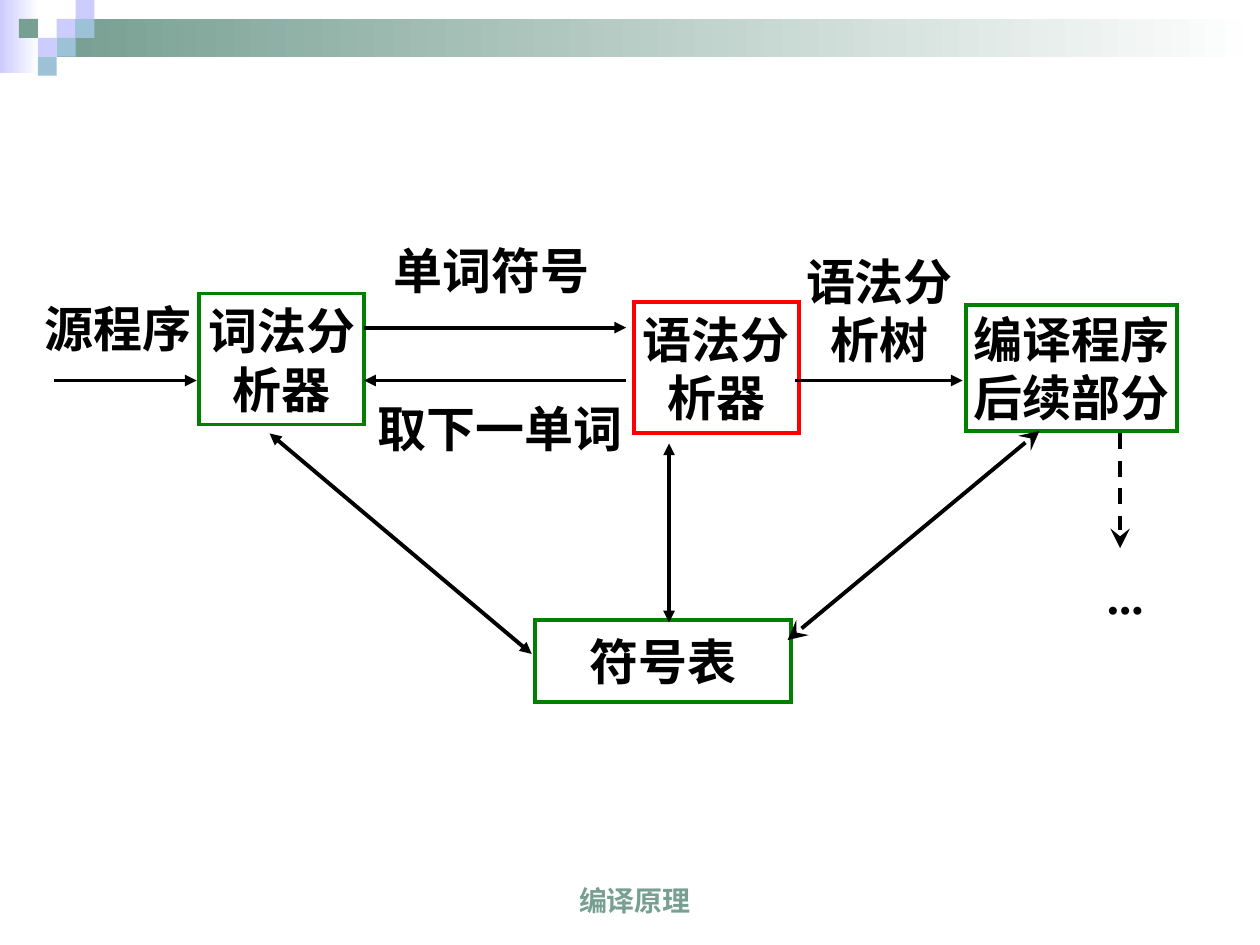
from lxml.etree import SubElement
from pptx import Presentation
from pptx.dml.color import RGBColor
from pptx.enum.dml import MSO_LINE
from pptx.enum.shapes import MSO_CONNECTOR, MSO_SHAPE
from pptx.enum.text import MSO_ANCHOR, PP_ALIGN
from pptx.oxml.ns import qn
from pptx.util import Inches, Pt

BLACK = RGBColor(0x00, 0x00, 0x00)
WHITE = RGBColor(0xFF, 0xFF, 0xFF)
GREEN = RGBColor(0x00, 0x80, 0x00)
RED = RGBColor(0xFF, 0x00, 0x00)
SAGE = RGBColor(0x77, 0x9F, 0x92)
LILAC = RGBColor(0xCC, 0xCC, 0xFF)
SKY = RGBColor(0x9D, 0xC2, 0xD7)

TILE = 0.15     # side of one square in the corner mosaic
LINE = Pt(2.25)

prs = Presentation()
prs.slide_width, prs.slide_height = Inches(10), Inches(7.5)
slide = prs.slides.add_slide(prs.slide_layouts[6])
shapes = slide.shapes


def write(shape, text, *, size=28, font="Times New Roman", color=BLACK,
          anchor=MSO_ANCHOR.MIDDLE, wrap=False):
    frame = shape.text_frame
    frame.text = text
    frame.word_wrap = wrap
    frame.vertical_anchor = anchor
    for paragraph in frame.paragraphs:
        paragraph.alignment = PP_ALIGN.CENTER
        paragraph.font.size = Pt(size)
        paragraph.font.name = font
        paragraph.font.bold = True
        paragraph.font.color.rgb = color


def arrow(start, end, head=None, tail="triangle", size="med", dash=None):
    connector = shapes.add_connector(
        MSO_CONNECTOR.STRAIGHT, *map(Inches, (*start, *end)))
    connector.line.color.rgb = BLACK
    connector.line.width = LINE
    connector.line.dash_style = dash
    properties = connector._element.spPr
    outline = properties.find(qn("a:ln"))
    for tag, kind in (("a:headEnd", head), ("a:tailEnd", tail)):
        if kind:
            SubElement(outline, qn(tag), type=kind, w=size, len=size)
    SubElement(properties, qn("a:effectLst"))


# Header: fading bands, then the mosaic by column and row
bands = [(0, 0, 0.31, 0.58, LILAC), (3 * TILE, TILE, 10 - 3 * TILE, 2 * TILE, SAGE)]
for *place, color in bands:
    band = shapes.add_shape(MSO_SHAPE.RECTANGLE, *map(Inches, place))
    band.shadow.inherit = False
    band.line.fill.background()
    band.fill.gradient()
    band.fill.gradient_angle = 0
    for stop, shade, position in zip(band.fill.gradient_stops, (color, WHITE), (0, 1)):
        stop.color.rgb = shade
        stop.position = position

mosaic = [(3, 1, LILAC), (4, 0, LILAC), (4, 1, SKY), (2, 2, LILAC),
          (1, 1, SAGE), (3, 2, SKY), (2, 3, SKY)]
for column, row, color in mosaic:
    tile = shapes.add_shape(MSO_SHAPE.RECTANGLE, Inches(column * TILE),
                            Inches(row * TILE), Inches(TILE), Inches(TILE))
    tile.shadow.inherit = False
    tile.line.fill.background()
    tile.fill.solid()
    tile.fill.fore_color.rgb = color

footer = shapes.add_textbox(*map(Inches, (3.11, 6.83, 3.86, 0.5)))
write(footer, "编译原理", size=16, font="Arial", color=SAGE,
      anchor=MSO_ANCHOR.BOTTOM, wrap=True)

# Labels without a border, then the framed stages and their symbol table
parts = [
    ("源程序", None, 0.31, 2.27, 1.25, 0.67),
    ("单词符号", None, 3.23, 1.77, 1.34, 0.75),
    ("取下一单词", None, 2.96, 3.02, 2.02, 0.75),
    ("语法分\n析树", None, 6.3, 1.94, 1.36, 1.04),
    ("...", None, 8.47, 4.35, 0.92, 0.75),
    ("词法分\n析器", GREEN, 1.58, 2.33, 1.31, 1.04),
    ("语法分\n析器", RED, 5.03, 2.4, 1.31, 1.04),
    ("符号表", GREEN, 4.25, 4.92, 2.03, 0.65),
    ("编译程序\n后续部分", GREEN, 7.67, 2.42, 1.67, 1),
]
for text, border, *place in parts:
    part = shapes.add_shape(MSO_SHAPE.RECTANGLE, *map(Inches, place))
    part.shadow.inherit = False
    part.fill.background()
    if border is None:
        part.line.fill.background()
    else:
        part.line.color.rgb = border
        part.line.width = LINE
        SubElement(part._element.spPr.find(qn("a:ln")), qn("a:miter"), lim="800000")
    write(part, text)

# Flow from stage to stage
FLOW = 3.02
arrow((0.43, FLOW), (1.56, FLOW))
arrow((2.89, 2.6), (4.97, 2.6))
arrow((4.97, FLOW), (2.89, FLOW))
arrow((6.31, FLOW), (7.64, FLOW))

# Access to the symbol table, and the steps that follow
arrow((2.14, 3.44), (4.22, 5.19), head="triangle")
arrow((5.31, 3.52), (5.31, 4.94), head="triangle")
arrow((8.25, 3.42), (6.25, 5.08), head="stealth", tail="stealth", size="lg")
arrow((8.89, 3.44), (8.89, 4.35), tail="stealth", size="lg", dash=MSO_LINE.DASH)

prs.save("out.pptx")
